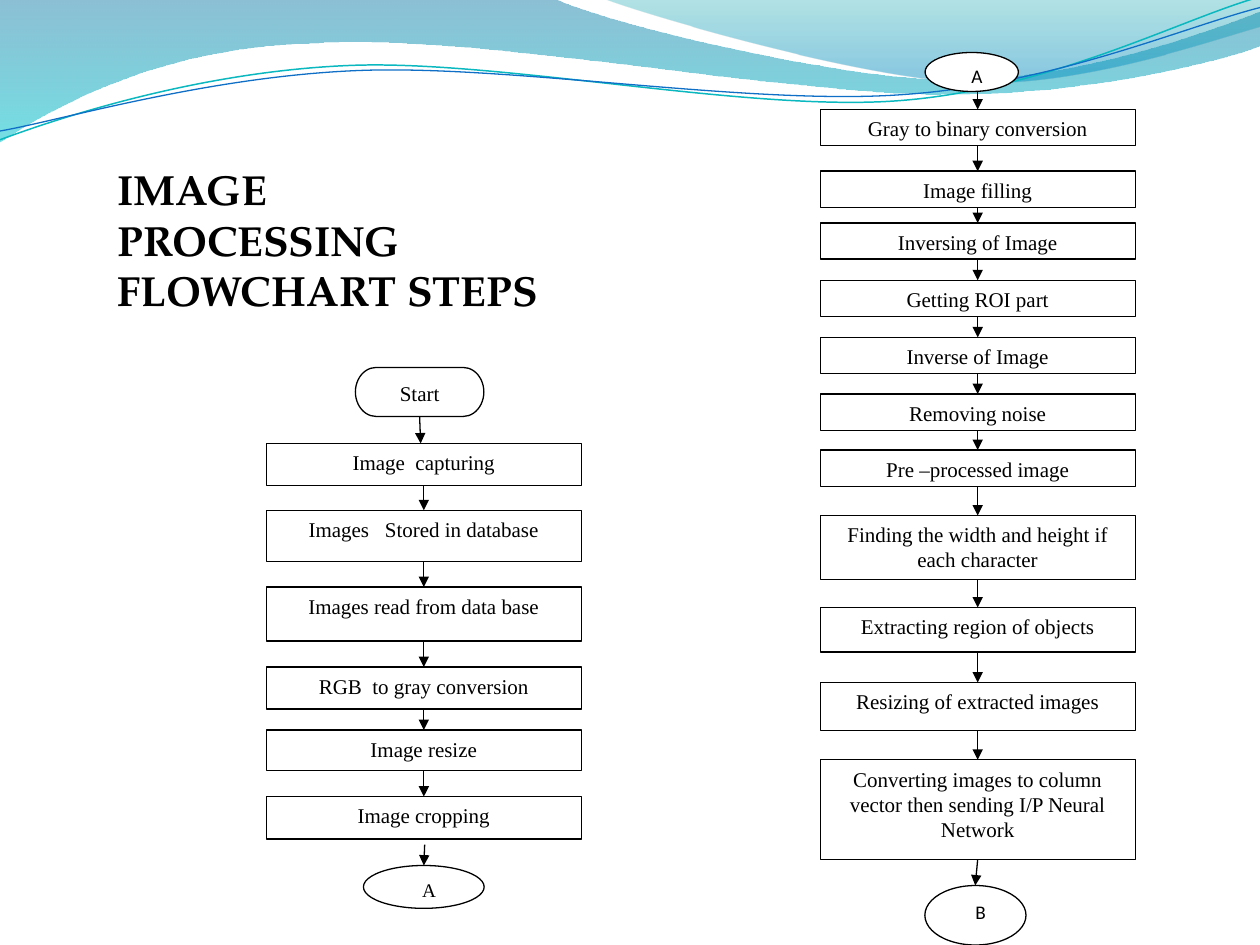
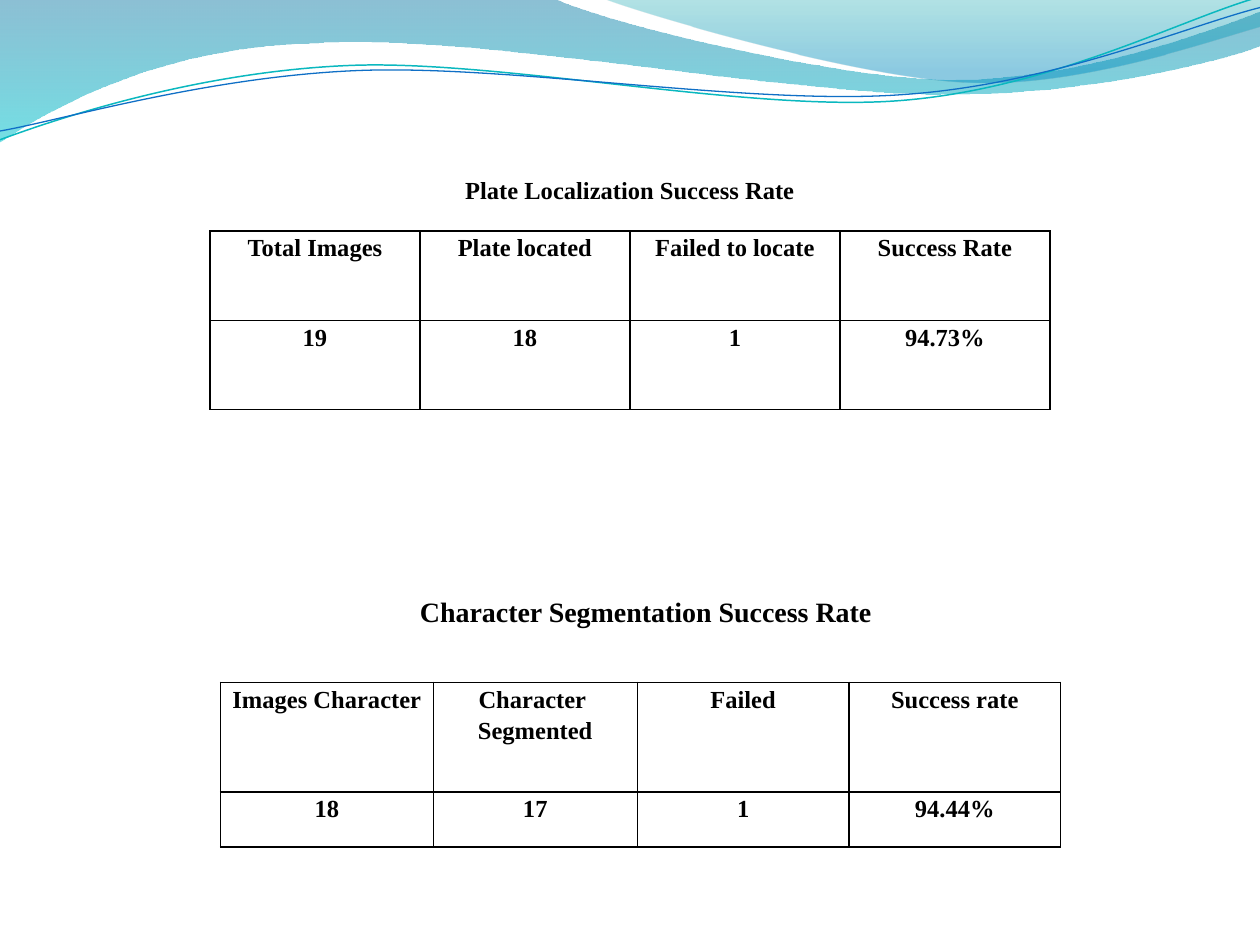
from dataclasses import dataclass
from itertools import pairwise
from typing import Any

from lxml.etree import SubElement
from pptx import Presentation
from pptx.dml.color import RGBColor
from pptx.enum.shapes import MSO_CONNECTOR, MSO_SHAPE
from pptx.enum.text import MSO_ANCHOR, MSO_AUTO_SIZE, PP_ALIGN
from pptx.oxml.ns import qn
from pptx.util import Pt

COLORS = {
    "ink": "000000",
    "paper": "FFFFFF",
    "deep_blue": "0074A1",
    "cyan": "00C6CF",
    "teal": "00A1A9",
    "sky": "008BBF",
    "teal_line": "0AB8BF",
    "blue_line": "0F6FC6",
}
SERIF = "Times New Roman"
STEP_WIDTH = 180
BORDER_SIDES = ("a:lnL", "a:lnR", "a:lnT", "a:lnB")

FLOW_FONT = {"name": SERIF, "size": Pt(12)}
TITLE_FONT = {"name": "TeX Gyre Pagella", "size": Pt(24), "bold": True}
RATE_FONT = {"name": SERIF, "size": Pt(14), "bold": True}
SEGMENTATION_FONT = {**RATE_FONT, "size": Pt(16)}
CENTERED = {"alignment": PP_ALIGN.CENTER}
LEFT = {"alignment": PP_ALIGN.LEFT}
CELL_PARAGRAPH = {**CENTERED, "line_spacing": 1.15}
CELL_MARGINS = {"margin_left": Pt(5), "margin_right": Pt(5),
                "margin_top": 0, "margin_bottom": 0}


@dataclass(frozen=True)
class GradientStop:
    position: float
    color: str
    opacity: int


@dataclass(frozen=True)
class Wave:
    """Outline in points: a pair is a straight step, six numbers a cubic curve."""
    start: tuple[float, float]
    steps: tuple[tuple[float, ...], ...]
    stops: tuple[GradientStop, ...] = ()
    line: str = ""
    line_width: float = 0.75
    rotation: float = 0


@dataclass(frozen=True)
class ArrowOffset:
    """Distances of an arrow from the column axis and from the step above it."""
    begin: float = 0
    end: float = 0
    gap: float = 0


@dataclass(frozen=True)
class Step:
    text: str
    top: float
    height: float
    width: float = STEP_WIDTH
    shift: float = 0
    kind: MSO_SHAPE = MSO_SHAPE.FLOWCHART_PROCESS
    font: str = SERIF
    arrow: ArrowOffset = ArrowOffset()


@dataclass(frozen=True)
class RateTable:
    left: float
    top: float
    columns: tuple[float, ...]
    rows: tuple[float, ...]
    cells: tuple[tuple[str, ...], ...]


WAVES = (
    Wave((0, 0), ((316.8, -0.7), (342.7, 12.2, 478.1, 45.4, 545.8, 45.4),
                  (614.2, 45.4, 689.8, 18.7, 720, 6.5), (720.7, 25.9),
                  (707.8, 31.7, 626.4, 54.7, 537.1, 54),
                  (447.8, 54, 275, 20.2, 185, 24.5),
                  (92.9, 25.9, 33.1, 59.8, -0.7, 81.4), (0, 0)),
         (GradientStop(0, "deep_blue", 45), GradientStop(1, "cyan", 55))),
    Wave((345, -0.7), ((366.5, 7.9, 491, 44.6, 553.7, 46.8),
                       (616.3, 49.7, 691.9, 23, 720, 15.1), (720, 0), (345, -0.7)),
         (GradientStop(0, "teal", 30), GradientStop(0.8, "sky", 45))),
    Wave((-1.4, 62.9), ((33.8, 51.7, 114.1, 29.4, 199.8, 29.9),
                        (284.8, 30.3, 425.9, 67.3, 512.5, 64.8),
                        (599.1, 62.4, 676.5, 25.7, 720.2, 15.6)),
         line="teal_line", line_width=0.85, rotation=357.3),
    Wave((-1.1, 57.9), ((32.9, 53.7, 118.3, 32.5, 204.1, 33),
                        (290.5, 33.4, 428.2, 63.8, 515.5, 61.4),
                        (601.4, 59.6, 678.4, 30.1, 721.4, 21.3)),
         line="blue_line", rotation=357.3),
)

CAPTURE_AXIS = 242.2
CAPTURE_STEPS = (
    Step("Start", 210, 28, 73.4, -2.4, MSO_SHAPE.FLOWCHART_TERMINATOR,
         arrow=ArrowOffset(-2.4, -1.8)),
    Step("Image  capturing", 253.4, 24),
    Step("Images   Stored in database", 291.6, 29.2),
    Step("Images read from data base", 335.4, 30.8),
    Step("RGB  to gray conversion", 381.2, 24),
    Step("Image resize", 417.2, 23.2),
    Step("Image cropping", 455.2, 24.2, arrow=ArrowOffset(0.5, 0, 3.2)),
    Step("A", 494.6, 24.5, 69, 0, MSO_SHAPE.FLOWCHART_CONNECTOR),
)
RECOGNITION_AXIS = 558.7
RECOGNITION_STEPS = (
    Step("A", 30, 22.3, 53.3, -3.4, MSO_SHAPE.OVAL, "Calibri"),
    Step("Gray to binary conversion", 62.6, 20.7),
    Step("Image filling", 97.8, 20.7),
    Step("Inversing of Image", 127.4, 20.7),
    Step("Getting ROI part", 160.2, 20.7),
    Step("Inverse of Image", 192.8, 20.7),
    Step("Removing noise", 225.2, 20.7),
    Step("Pre –processed image", 257.2, 20.7),
    Step("Finding the width and height if each character", 294.6, 36.6),
    Step("Extracting region of objects", 347.2, 25.4),
    Step("Resizing of extracted images", 390, 27.6),
    Step("Converting images to column vector then sending I/P Neural Network",
         434.2, 56.8, arrow=ArrowOffset(0, -1.4)),
    Step("B", 506, 34, 57.8, -1.3, MSO_SHAPE.FLOWCHART_CONNECTOR, "Calibri"),
)

LOCALIZATION = RateTable(
    120, 132, (120,) * 4, (51, 51),
    (("Total Images", "Plate located", "Failed to locate", "Success Rate"),
     ("19", "18", "1", "94.73%")))
SEGMENTATION = RateTable(
    126, 390, (121.6, 116.6, 121, 121), (62.6, 31.4),
    (("Images Character", "Character  Segmented", "Failed", "Success rate"),
     ("18", "17", "1", "94.44%")))


def rgb(name: str) -> RGBColor:
    return RGBColor.from_string(COLORS[name])


def apply_format(target: Any, values: dict[str, Any]) -> None:
    for name, value in values.items():
        setattr(target, name, value)


def write(frame: Any, text: str, font: dict, paragraph_format: dict) -> None:
    """Fill a text frame, one paragraph for each line of text."""
    frame.text = text
    for paragraph in frame.paragraphs:
        apply_format(paragraph, paragraph_format)
        for run in paragraph.runs:
            apply_format(run.font, font)
            run.font.color.rgb = rgb("ink")


def set_line(line: Any, color: str = "ink", width: float = 0.75) -> None:
    line.color.rgb = rgb(color)
    line.width = Pt(width)


def bend_curves(band: Any, steps: tuple[tuple[float, ...], ...]) -> None:
    """Turn each run of three straight segments that stands for a curve into one."""
    outline = next(band.element.iter(qn("a:path")))
    segments = iter(outline.findall(qn("a:lnTo")))
    for step in steps:
        first = next(segments)
        if len(step) == 2:
            continue
        curve = SubElement(outline, qn("a:cubicBezTo"))
        first.addprevious(curve)
        for segment in (first, next(segments), next(segments)):
            curve.append(segment[0])
            outline.remove(segment)


def draw_wave(shapes: Any, wave: Wave) -> Any:
    points = [(Pt(x), Pt(y)) for step in wave.steps
              for x, y in zip(step[::2], step[1::2])]
    builder = shapes.build_freeform(*map(Pt, wave.start))
    builder.add_line_segments(points, close=bool(wave.stops))
    band = builder.convert_to_shape()
    bend_curves(band, wave.steps)
    band.rotation = wave.rotation
    band.shadow.inherit = False
    if not wave.stops:
        band.fill.background()
        set_line(band.line, wave.line, wave.line_width)
        return band
    band.line.fill.background()
    band.fill.gradient()
    band.fill.gradient_angle = 270
    for target, stop in zip(band.fill.gradient_stops, wave.stops):
        target.color.rgb = rgb(stop.color)
        target.position = stop.position
    for node, stop in zip(band.element.iter(qn("a:gs")), wave.stops):
        SubElement(node[0], qn("a:alpha"), val=str(stop.opacity * 1000))
    return band


def add_waves_to_master(master: Any, slide: Any) -> None:
    """Build the waves on a slide, then move them to the master."""
    for number, wave in enumerate(WAVES, start=101):
        band = draw_wave(slide.shapes, wave)
        band.element.nvSpPr.cNvPr.set("id", str(number))
        master.shapes.element.append(band.element)


def set_title(slide: Any, text: str, box: tuple, font: dict,
              paragraph_format: dict, anchor: MSO_ANCHOR) -> None:
    title = slide.shapes.title
    apply_format(title, dict(zip(("left", "top", "width", "height"), map(Pt, box))))
    apply_format(title.text_frame, {"word_wrap": True, "vertical_anchor": anchor,
                                    "auto_size": MSO_AUTO_SIZE.NONE})
    write(title.text_frame, text, font, paragraph_format)


def draw_step(shapes: Any, step: Step, axis: float) -> None:
    box = shapes.add_shape(step.kind, Pt(axis + step.shift - step.width / 2),
                           Pt(step.top), Pt(step.width), Pt(step.height))
    box.shadow.inherit = False
    box.fill.solid()
    box.fill.fore_color.rgb = rgb("paper")
    set_line(box.line)
    box.text_frame.vertical_anchor = MSO_ANCHOR.TOP
    font = {**FLOW_FONT, "name": step.font}
    if len(step.text) == 1:
        font["size"] = Pt(11)
        box.text_frame.margin_left = Pt(13)
    write(box.text_frame, step.text, font, CENTERED)


def draw_arrow(shapes: Any, begin: tuple, end: tuple) -> None:
    arrow = shapes.add_connector(MSO_CONNECTOR.STRAIGHT, *map(Pt, begin + end))
    set_line(arrow.line)
    properties = arrow.element.spPr
    SubElement(properties.find(qn("a:ln")), qn("a:tailEnd"), type="triangle")
    SubElement(properties, qn("a:effectLst"))


def draw_flow(shapes: Any, steps: tuple[Step, ...], axis: float) -> None:
    for step in steps:
        draw_step(shapes, step, axis)
    for step, following in pairwise(steps):
        offset = step.arrow
        draw_arrow(shapes, (axis + offset.begin, step.top + step.height + offset.gap),
                   (axis + offset.end, following.top))


def add_borders(cell: Any) -> None:
    properties = cell._tc.get_or_add_tcPr()
    for index, side in enumerate(BORDER_SIDES):
        border = SubElement(properties, qn(side), w=str(Pt(1)))
        properties.insert(index, border)
        fill = SubElement(border, qn("a:solidFill"))
        SubElement(fill, qn("a:srgbClr"), val=COLORS["ink"])


def draw_table(shapes: Any, rates: RateTable) -> None:
    table = shapes.add_table(len(rates.rows), len(rates.columns), Pt(rates.left),
                             Pt(rates.top), Pt(sum(rates.columns)),
                             Pt(sum(rates.rows))).table
    apply_format(table, {"first_row": False, "horz_banding": False})
    for column, width in zip(table.columns, rates.columns):
        column.width = Pt(width)
    for row, height, texts in zip(table.rows, rates.rows, rates.cells):
        row.height = Pt(height)
        for cell, text in zip(row.cells, texts):
            apply_format(cell, CELL_MARGINS)
            cell.fill.background()
            write(cell.text_frame, text, RATE_FONT, CELL_PARAGRAPH)
            add_borders(cell)


def main() -> None:
    deck = Presentation()
    apply_format(deck, {"slide_width": Pt(720), "slide_height": Pt(540)})
    title_only = deck.slide_layouts[5]

    flowchart = deck.slides.add_slide(title_only)
    add_waves_to_master(deck.slide_master, flowchart)
    set_title(flowchart, "IMAGE PROCESSING\nFLOWCHART STEPS", (60, 90, 260, 96),
              TITLE_FONT, LEFT, MSO_ANCHOR.TOP)
    draw_flow(flowchart.shapes, CAPTURE_STEPS, CAPTURE_AXIS)
    draw_flow(flowchart.shapes, RECOGNITION_STEPS, RECOGNITION_AXIS)

    results = deck.slides.add_slide(title_only)
    set_title(results, "Plate Localization Success Rate", (0, 96, 720, 24.4),
              RATE_FONT, CENTERED, MSO_ANCHOR.MIDDLE)
    draw_table(results.shapes, LOCALIZATION)
    heading = results.shapes.add_textbox(Pt(18), Pt(335.6), Pt(702), Pt(28)).text_frame
    apply_format(heading, {"word_wrap": True, "vertical_anchor": MSO_ANCHOR.MIDDLE})
    write(heading, "Character Segmentation Success Rate", SEGMENTATION_FONT, CENTERED)
    draw_table(results.shapes, SEGMENTATION)

    deck.save("out.pptx")


if __name__ == "__main__":
    main()
